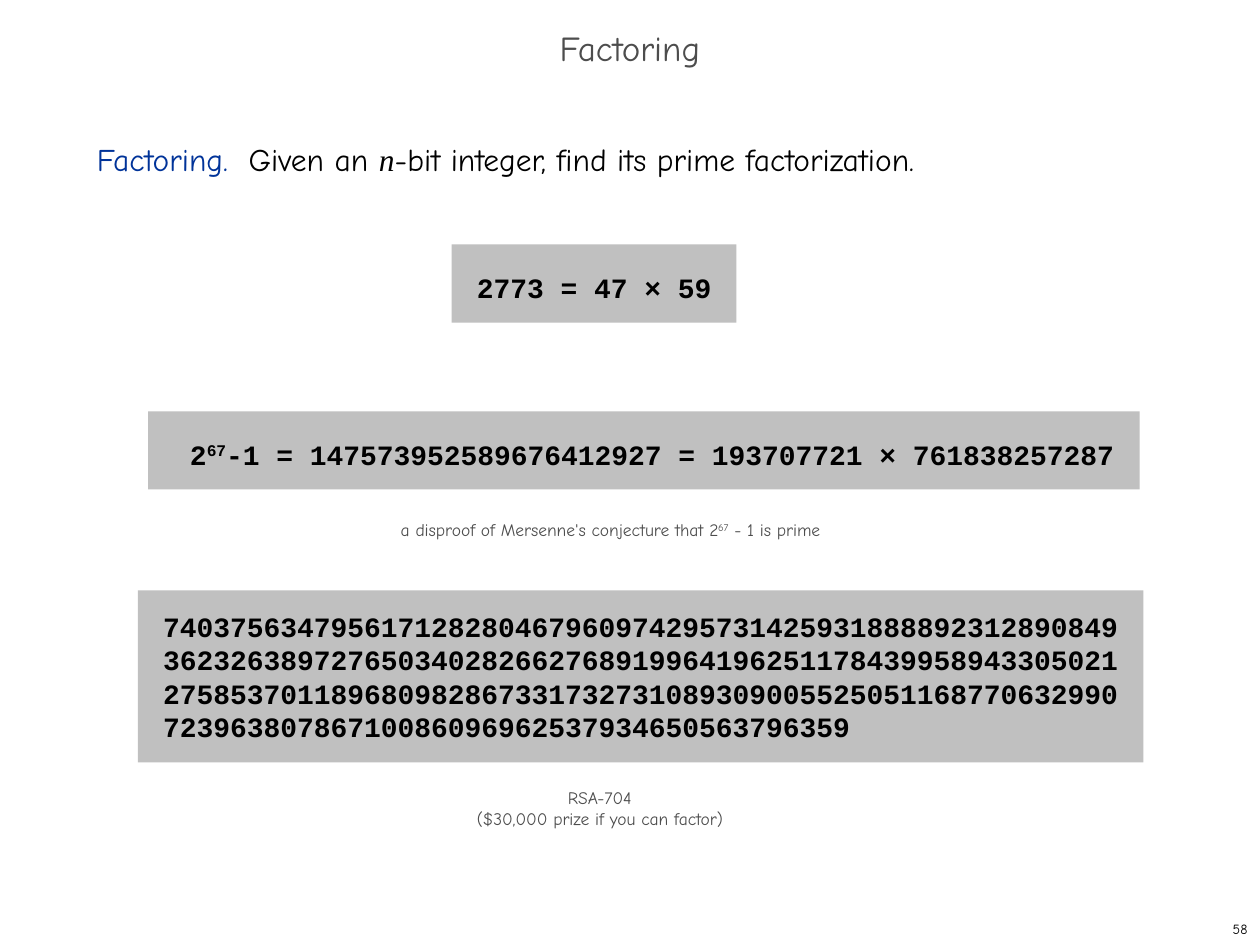
from lxml import etree
from pptx import Presentation
from pptx.dml.color import RGBColor
from pptx.enum.shapes import MSO_SHAPE
from pptx.enum.text import MSO_ANCHOR, MSO_AUTO_SIZE, PP_ALIGN
from pptx.oxml.ns import qn
from pptx.util import Inches, Pt

RECT = MSO_SHAPE.RECTANGLE
TOP, MIDDLE = MSO_ANCHOR.TOP, MSO_ANCHOR.MIDDLE
LEFT, CENTER, RIGHT = PP_ALIGN.LEFT, PP_ALIGN.CENTER, PP_ALIGN.RIGHT
FIT, FIXED = MSO_AUTO_SIZE.SHAPE_TO_FIT_TEXT, MSO_AUTO_SIZE.NONE

SANS, MONO, SERIF = "Comic Neue", "Courier New", "Times New Roman"
BLACK, GRAY, BLUE, PANEL = "000000", "4D4D4D", "003399", "C0C0C0"

# The slide is a grid of 100 columns by 75 rows
prs = Presentation()
prs.slide_width, prs.slide_height = Inches(10), Inches(7.5)
CELL = prs.slide_width / 100


def grid(*cells):
    return [round(n * CELL) for n in cells]


def color(value):
    return RGBColor.from_string(value)


def add_run(p, text, size, font=SANS, fill=BLACK, bold=False, italic=False,
            raised=False):
    r = p.add_run()
    r.text = text
    f = r.font
    f.name, f.size, f.bold, f.italic = font, Pt(size), bold, italic
    f.color.rgb = color(fill)
    if raised:
        r._r.get_or_add_rPr().set("baseline", "30000")


def set_frame(sp, align=LEFT, anchor=TOP, grow=False,
              insets=(1, 0.5, 1, 0.5), spacing=1.0):
    """Set up the text frame and return its first paragraph."""
    tf = sp.text_frame
    tf.word_wrap = not grow
    tf.auto_size = FIT if grow else FIXED
    tf.vertical_anchor = anchor
    (tf.margin_left, tf.margin_top,
     tf.margin_right, tf.margin_bottom) = grid(*insets)
    p = tf.paragraphs[0]
    p.alignment, p.line_spacing = align, spacing
    return p


def add_title(s, box, text):
    p = set_frame(s.shapes.add_textbox(*grid(*box)), CENTER, MIDDLE,
                  spacing=0.7)
    add_run(p, text, 20, fill=GRAY)


def add_statement(s, box):
    p = set_frame(s.shapes.add_textbox(*grid(*box)), spacing=Pt(26))
    # Tab stop that sets the statement off from its heading
    tabs = etree.SubElement(p._p.get_or_add_pPr(), qn("a:tabLst"))
    etree.SubElement(tabs, qn("a:tab"), pos=str(grid(12.05)[0]), algn="l")
    add_run(p, "Factoring.", 18, fill=BLUE)
    add_run(p, "\tGiven an ", 18)
    add_run(p, "n", 18, SERIF, italic=True)
    add_run(p, "-bit integer, find its prime factorization.", 18)


def add_lines(p, lines, size, **style):
    """Each line is a list of (text, raised) parts."""
    for i, line in enumerate(lines):
        if i:
            p.add_line_break()
        for text, raised in line:
            add_run(p, text, size, raised=raised, **style)


def add_panel(s, box, lines, spacing=1.0, indent=0):
    sp = s.shapes.add_shape(RECT, *grid(*box))
    sp.shadow.inherit = False
    sp.fill.solid()
    sp.fill.fore_color.rgb = color(PANEL)
    sp.line.fill.background()
    # The narrow right inset keeps full lines from breaking
    p = set_frame(sp, anchor=MIDDLE, insets=(2 + indent, 1.5, 0.5, 1.5),
                  spacing=spacing)
    add_lines(p, lines, 16, font=MONO, bold=True)


def add_caption(s, box, lines):
    p = set_frame(s.shapes.add_textbox(*grid(*box)), CENTER, grow=True)
    add_lines(p, lines, 10, fill=GRAY)


def add_page_number(s, box, text):
    p = set_frame(s.shapes.add_textbox(*grid(*box)), RIGHT, MIDDLE)
    add_run(p, text, 8)


def plain(*lines):
    return [[(line, False)] for line in lines]


def power(before, exponent, after):
    return [[(before, False), (exponent, True), (after, False)]]


def build_slide():
    s = prs.slides.add_slide(prs.slide_layouts[6])
    add_title(s, (0, 1.7, 100, 5), "Factoring")
    add_statement(s, (6.7, 10, 82.9, 59.2))

    # Factored numbers
    add_panel(s, (35.85, 19.4, 22.6, 6.2), plain("2773 = 47 × 59"), 1.2)
    add_panel(s, (11.75, 32.65, 78.7, 6.2), power(
        "2", "67", "-1 = 147573952589676412927 = 193707721 × 761838257287"),
        1.2, indent=1.33)
    add_caption(s, (30.8, 40.7, 35.3, 2.7), power(
        "a disproof of Mersenne's conjecture that 2", "67", " - 1 is prime"))

    # Open challenge
    add_panel(s, (10.95, 46.85, 79.8, 13.65), plain(
        "740375634795617128280467960974295731425931888892312890849",
        "362326389727650340282662768919964196251178439958943305021",
        "275853701189680982867331732731089309005525051168770632990",
        "72396380786710086096962537934650563796359"))
    add_caption(s, (36.8, 61.95, 21.6, 4.4), plain(
        "RSA-704", "($30,000 prize if you can factor)"))

    add_page_number(s, (79.2, 72.5, 20.8, 2.5), "58")


if __name__ == "__main__":
    build_slide()
    prs.save("out.pptx")
